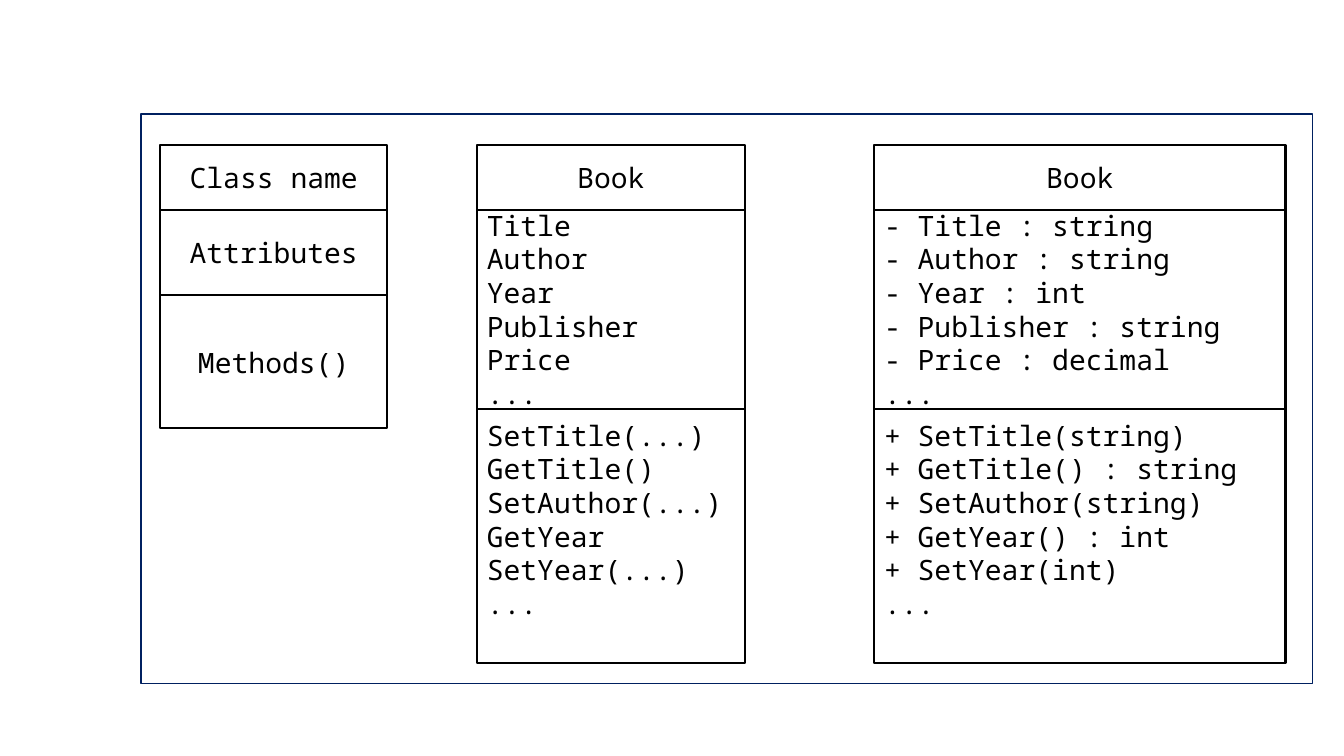
import pptx
import pptx.util
import pptx.dml.color
import pptx.enum.shapes
import pptx.enum.text
from dataclasses import dataclass

Inches, Pt = pptx.util.Inches, pptx.util.Pt
RGBColor = pptx.dml.color.RGBColor
PP_ALIGN = pptx.enum.text.PP_ALIGN


@dataclass(frozen=True)
class Theme:
    font: str = "Noto Sans Mono"
    size: float = 20
    text: str = "000000"
    background: str = "FFFFFF"
    frame: str = "002060"
    frame_width: float = 1
    border: str = "000000"
    border_width: float = 1.5
    inset: float = 0.05
    line_height: float = 0.33


class Diagram:
    def __init__(self, prs, theme):
        self.prs = prs
        self.theme = theme
        self.s = prs.slides.add_slide(prs.slide_layouts[6])

    def rect(self, x, y, w, h, line, width, fill=None):
        across, down = self.prs.slide_width / 100, self.prs.slide_height / 100
        sp = self.s.shapes.add_shape(
            pptx.enum.shapes.MSO_SHAPE.RECTANGLE,
            round(x * across), round(y * down), round(w * across), round(h * down))
        sp.shadow.inherit = False
        if fill:
            sp.fill.solid()
            sp.fill.fore_color.rgb = RGBColor.from_string(fill)
        else:
            sp.fill.background()
        sp.line.color.rgb = RGBColor.from_string(line)
        sp.line.width = Pt(width)
        return sp

    def frame(self, x, y, w, h):
        t = self.theme
        self.rect(x, y, w, h, t.frame, t.frame_width, t.background)

    def compartment(self, x, y, w, h, lines, align, spare_lines=0):
        t = self.theme
        sp = self.rect(x, y, w, h, t.border, t.border_width)
        tf = sp.text_frame
        tf.word_wrap = True
        tf.vertical_anchor = pptx.enum.text.MSO_ANCHOR.MIDDLE
        tf.margin_bottom = Inches(t.inset + spare_lines * t.line_height)
        tf.text = "\n".join(lines)
        for p in tf.paragraphs:
            p.alignment = align
            for r in p.runs:
                r.font.name = t.font
                r.font.size = Pt(t.size)
                r.font.color.rgb = RGBColor.from_string(t.text)

    def class_box(self, x, y, w, heights, sections, body_align, spare_lines=0):
        last = len(sections) - 1
        for i, (h, lines) in enumerate(zip(heights, sections)):
            align = body_align if i else PP_ALIGN.CENTER
            self.compartment(x, y, w, h, lines, align,
                             spare_lines if i == last else 0)
            y += h


TOP = 19.2
NAME_HEIGHT = 8.53
LEGEND_HEIGHTS = (NAME_HEIGHT, 11.33, 17.6)
BOOK_HEIGHTS = (NAME_HEIGHT, 26.33, 33.6)

LEGEND = (["Class name"], ["Attributes"], ["Methods()"])
BOOK = (
    ["Book"],
    ["Title", "Author", "Year", "Publisher", "Price", "..."],
    ["SetTitle(...)", "GetTitle()", "SetAuthor(...)", "GetYear",
     "SetYear(...)", "..."],
)
TYPED_BOOK = (
    ["Book"],
    ["- Title : string", "- Author : string", "- Year : int",
     "- Publisher : string", "- Price : decimal", "..."],
    ["+ SetTitle(string)", "+ GetTitle() : string", "+ SetAuthor(string)",
     "+ GetYear() : int", "+ SetYear(int)", "..."],
)

prs = pptx.Presentation()
prs.slide_width, prs.slide_height = Inches(13.33), Inches(7.5)

diagram = Diagram(prs, Theme())
diagram.frame(10.5, 15.07, 87.17, 75.33)
diagram.class_box(11.93, TOP, 16.88, LEGEND_HEIGHTS, LEGEND, PP_ALIGN.CENTER)
for x, w, sections in ((35.48, 19.95, BOOK), (65.04, 30.61, TYPED_BOOK)):
    diagram.class_box(x, TOP, w, BOOK_HEIGHTS, sections, PP_ALIGN.LEFT,
                      spare_lines=1)

prs.save("out.pptx")
